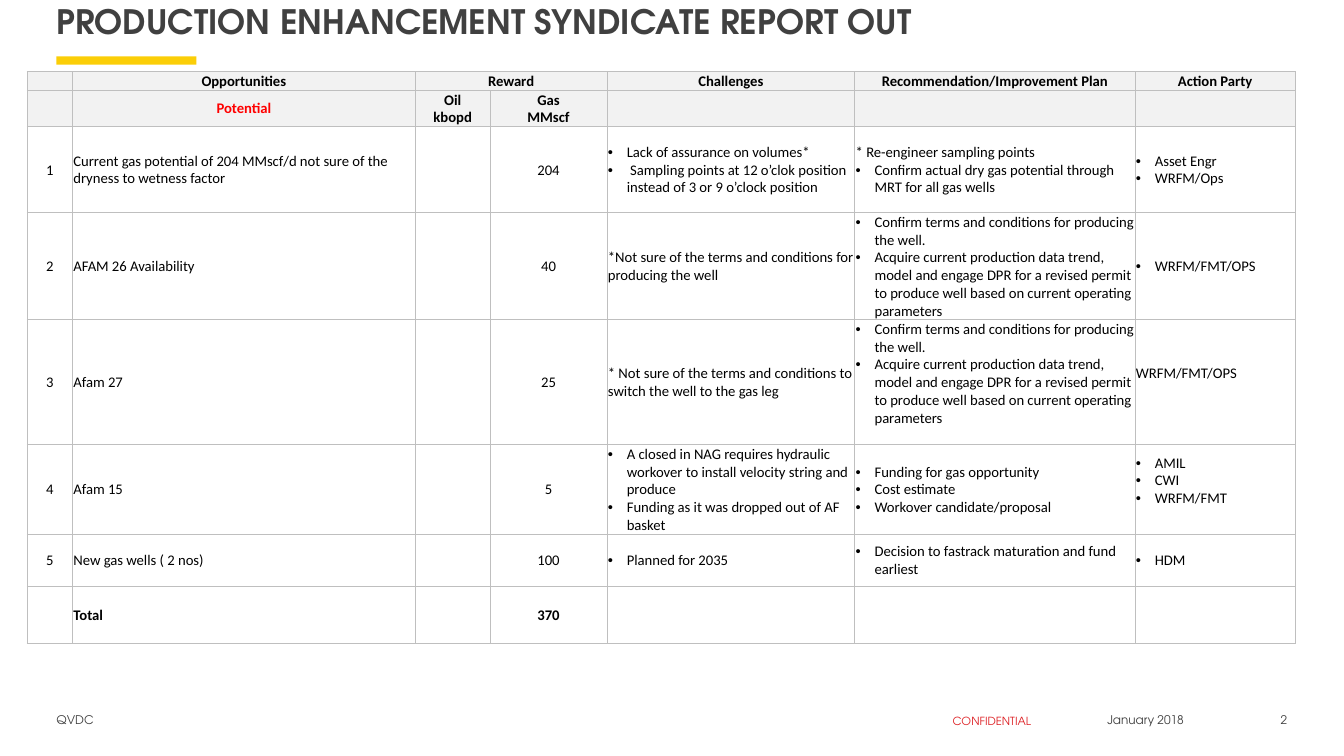
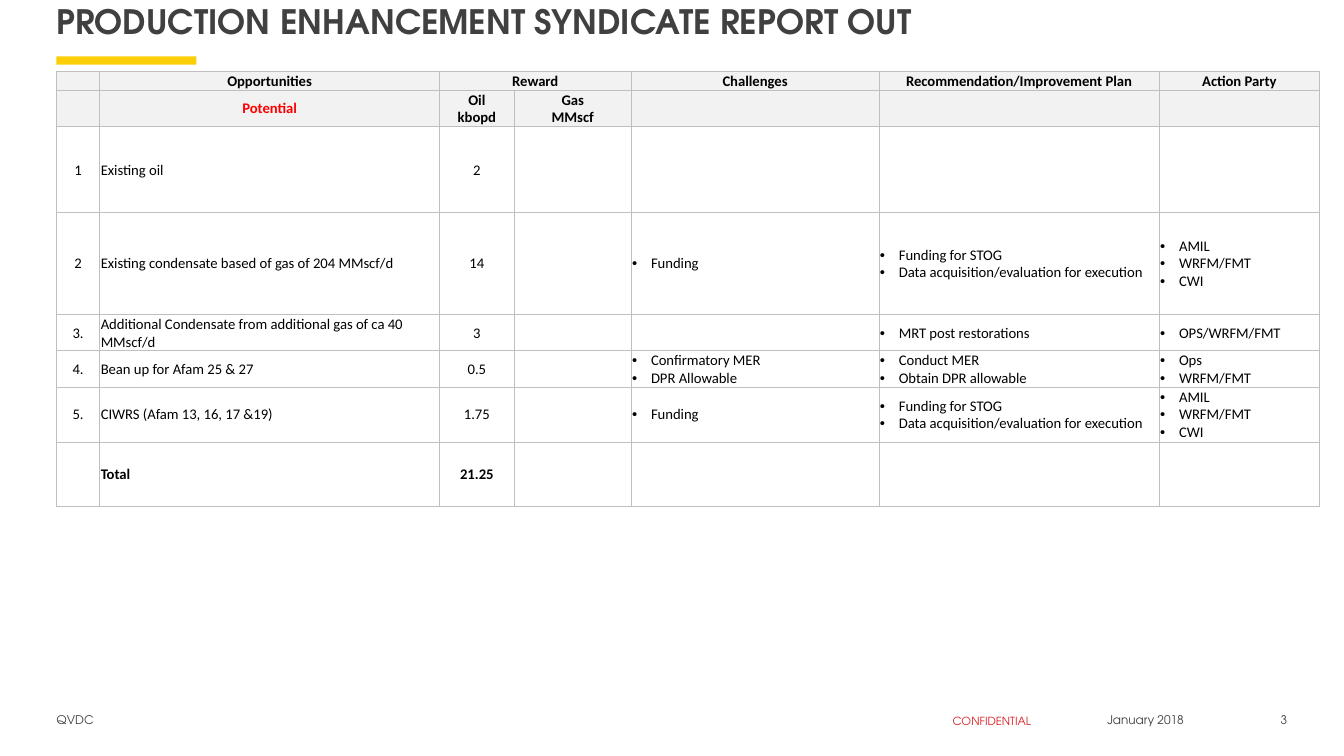
"""Build the two production enhancement report-out slides."""
import lxml.etree
import pptx
import pptx.dml.color
import pptx.enum.shapes
import pptx.enum.text
import pptx.oxml.ns
import pptx.util

Pt = pptx.util.Pt
RGBColor = pptx.dml.color.RGBColor
ALIGN = pptx.enum.text.PP_ALIGN
qn = pptx.oxml.ns.qn

YELLOW = RGBColor(0xFB, 0xCE, 0x07)
DARK_GRAY = RGBColor(0x40, 0x40, 0x40)
CONFIDENTIAL_RED = RGBColor(0xDD, 0x1D, 0x21)
POTENTIAL_RED = RGBColor(0xFF, 0x00, 0x00)
BLACK = RGBColor(0x00, 0x00, 0x00)
HEADER_GRAY = RGBColor(0xF2, 0xF2, 0xF2)
BORDER_GRAY = RGBColor(0xBF, 0xBF, 0xBF)
TITLE_FONT = "TeX Gyre Adventor"
TABLE_FONT = "Calibri"
TABLE_SIZE = 10.5
LINE_HEIGHT = 12.8
BULLET_INDENT = 13.5
BULLET = "• "

TITLE = "PRODUCTION ENHANCEMENT SYNDICATE REPORT OUT"
HEADER_ROWS = [
    ["", "Opportunities", "Reward", "", "Challenges", "Recommendation/Improvement Plan", "Action Party"],
    ["", "Potential", "Oil\nkbopd", "Gas\nMMscf", "", "", ""],
]
CENTERED_COLUMNS = (0, 2, 3)
SHARED_WIDTHS = [53.5, 83.5, 177, 200.2, 114.5]
HEADER_HEIGHTS = [13.5, 25.7]

PERMIT_PLAN = (
    "• Confirm terms and conditions for producing the well.\n"
    "• Acquire current production data trend, model and engage DPR for a revised permit "
    "to produce well based on current operating parameters"
)
STOG_PLAN = "• Funding for STOG\n• Data acquisition/evaluation for execution"
STOG_PARTIES = "• AMIL\n• WRFM/FMT\n• CWI"

GAS_ROWS = [
    ["1", "Current gas potential of 204 MMscf/d not sure of the dryness to wetness factor", "", "204",
     "• Lack of assurance on volumes*\n"
     "•  Sampling points at 12 o’clok position instead of 3 or 9 o’clock position",
     "* Re-engineer sampling points\n• Confirm actual dry gas potential through MRT for all gas wells",
     "• Asset Engr\n• WRFM/Ops"],
    ["2", "AFAM 26 Availability", "", "40",
     "*Not sure of the terms and conditions for producing the well", PERMIT_PLAN, "• WRFM/FMT/OPS"],
    ["3", "Afam 27", "", "25",
     "* Not sure of the terms and conditions to switch the well to the gas leg", PERMIT_PLAN, "WRFM/FMT/OPS"],
    ["4", "Afam 15", "", "5",
     "• A closed in NAG requires hydraulic workover to install velocity string and produce\n"
     "• Funding as it was dropped out of AF basket",
     "• Funding for gas opportunity\n• Cost estimate\n• Workover candidate/proposal",
     "• AMIL\n• CWI\n• WRFM/FMT"],
    ["5", "New gas wells ( 2 nos)", "", "100", "• Planned for 2035",
     "• Decision to fastrack maturation and fund earliest", "• HDM"],
    ["", "Total", "", "370", "", "", ""],
]
OIL_ROWS = [
    ["1", "Existing oil", "2", "", "", "", ""],
    ["2", "Existing condensate based of gas of 204 MMscf/d", "14", "", "• Funding", STOG_PLAN, STOG_PARTIES],
    ["3.", "Additional Condensate from additional gas of ca 40 MMscf/d", "3", "", "",
     "• MRT post restorations", "• OPS/WRFM/FMT"],
    ["4.", "Bean up for Afam 25 & 27", "0.5", "", "• Confirmatory MER\n• DPR Allowable",
     "• Conduct MER\n• Obtain DPR allowable", "• Ops\n• WRFM/FMT"],
    ["5.", "CIWRS (Afam 13, 16, 17 &19)", "1.75", "", "• Funding", STOG_PLAN, STOG_PARTIES],
    ["", "Total", "21.25", "", "", "", ""],
]
PAGES = [
    {"number": "2", "left": 19.4, "widths": [32.4, 244.8], "rows": GAS_ROWS,
     "heights": [61.4, 76.4, 89.3, 64.3, 37.1, 40.7], "raised": [(4, 5), (4, 6), (5, 6)]},
    {"number": "3", "left": 40.3, "widths": [31, 242.6], "rows": OIL_ROWS,
     "heights": [61.4, 72.9, 25.7, 25.7, 39.3, 45.7], "raised": []},
]
LABELS = [
    (TITLE, 40.3, 0.7, 880, 59, 24, DARK_GRAY, ALIGN.LEFT),
    ("QVDC", 40.3, 509, 264, 18.7, 8.5, DARK_GRAY, ALIGN.LEFT),
    ("CONFIDENTIAL", 666, 510.5, 85, 13.7, 8, CONFIDENTIAL_RED, ALIGN.CENTER),
    ("January 2018", 761.8, 509, 113, 18.7, 8.5, DARK_GRAY, ALIGN.CENTER),
]


def add_label(slide, text, left, top, width, height, size, color, alignment):
    text_box = slide.shapes.add_textbox(Pt(left), Pt(top), Pt(width), Pt(height))
    frame = text_box.text_frame
    frame.word_wrap = True
    frame.margin_left = frame.margin_right = frame.margin_top = frame.margin_bottom = 0
    paragraph = frame.paragraphs[0]
    paragraph.alignment = alignment
    run = paragraph.add_run()
    run.text = text
    run.font.name = TITLE_FONT
    run.font.size = Pt(size)
    run.font.bold = text == TITLE
    run.font.color.rgb = color


def fill_cell(cell, text, centered, bold, color):
    cell.vertical_anchor = pptx.enum.text.MSO_ANCHOR.MIDDLE
    cell.margin_left = cell.margin_right = cell.margin_top = Pt(0.7)
    cell.margin_bottom = 0
    frame = cell.text_frame
    for index, line in enumerate(text.split("\n")):
        paragraph = frame.add_paragraph() if index else frame.paragraphs[0]
        paragraph.alignment = ALIGN.CENTER if centered else ALIGN.LEFT
        if not line:
            end = lxml.etree.SubElement(paragraph._p, qn("a:endParaRPr"))
            end.set("sz", str(int(TABLE_SIZE * 100)))
            continue
        if line.startswith(BULLET):
            properties = paragraph._p.get_or_add_pPr()
            properties.set("marL", str(Pt(BULLET_INDENT)))
            properties.set("indent", str(-Pt(BULLET_INDENT)))
            lxml.etree.SubElement(properties, qn("a:buFont")).set("typeface", "Arial")
            lxml.etree.SubElement(properties, qn("a:buChar")).set("char", BULLET.strip())
        run = paragraph.add_run()
        run.text = line.removeprefix(BULLET)
        run.font.name = TABLE_FONT
        run.font.size = Pt(TABLE_SIZE)
        run.font.bold = bold
        run.font.color.rgb = color
    cell_properties = cell._tc.get_or_add_tcPr()
    for position, side in enumerate(("a:lnL", "a:lnR", "a:lnT", "a:lnB")):
        border = lxml.etree.Element(qn(side), w=str(Pt(0.5)))
        solid = lxml.etree.SubElement(border, qn("a:solidFill"))
        lxml.etree.SubElement(solid, qn("a:srgbClr")).set("val", str(BORDER_GRAY))
        cell_properties.insert(position, border)


presentation = pptx.Presentation()
presentation.slide_width = Pt(960)
presentation.slide_height = Pt(540)

for page in PAGES:
    slide = presentation.slides.add_slide(presentation.slide_layouts[6])
    accent = slide.shapes.add_shape(
        pptx.enum.shapes.MSO_SHAPE.RECTANGLE, Pt(40.3), Pt(40.3), Pt(100), Pt(5.8))
    accent.shadow.inherit = False
    accent.fill.solid()
    accent.fill.fore_color.rgb = YELLOW
    accent.line.fill.background()
    for label in LABELS:
        add_label(slide, *label)
    add_label(slide, page["number"], 891.4, 509, 28.1, 18.7, 8.5, DARK_GRAY, ALIGN.RIGHT)

    rows = HEADER_ROWS + page["rows"]
    widths = page["widths"] + SHARED_WIDTHS
    heights = HEADER_HEIGHTS + page["heights"]
    table = slide.shapes.add_table(
        len(rows), len(widths), Pt(page["left"]), Pt(51), Pt(sum(widths)), Pt(sum(heights))).table
    table.first_row = False
    table.horz_banding = False
    for column, width in zip(table.columns, widths):
        column.width = Pt(width)
    for row_index, (values, height) in enumerate(zip(rows, heights)):
        table.rows[row_index].height = Pt(height)
        is_header = row_index < len(HEADER_ROWS)
        is_total = row_index == len(rows) - 1
        for column_index, text in enumerate(values):
            cell = table.cell(row_index, column_index)
            if is_header:
                cell.fill.solid()
                cell.fill.fore_color.rgb = HEADER_GRAY
            else:
                cell.fill.background()
            color = POTENTIAL_RED if text == "Potential" else BLACK
            centered = is_header or column_index in CENTERED_COLUMNS
            fill_cell(cell, text, centered, is_header or is_total, color)
    table.cell(0, 2).merge(table.cell(0, 3))
    for row_index, column_index in page["raised"]:
        table.cell(row_index, column_index).margin_bottom = Pt(LINE_HEIGHT)

presentation.save("out.pptx")
